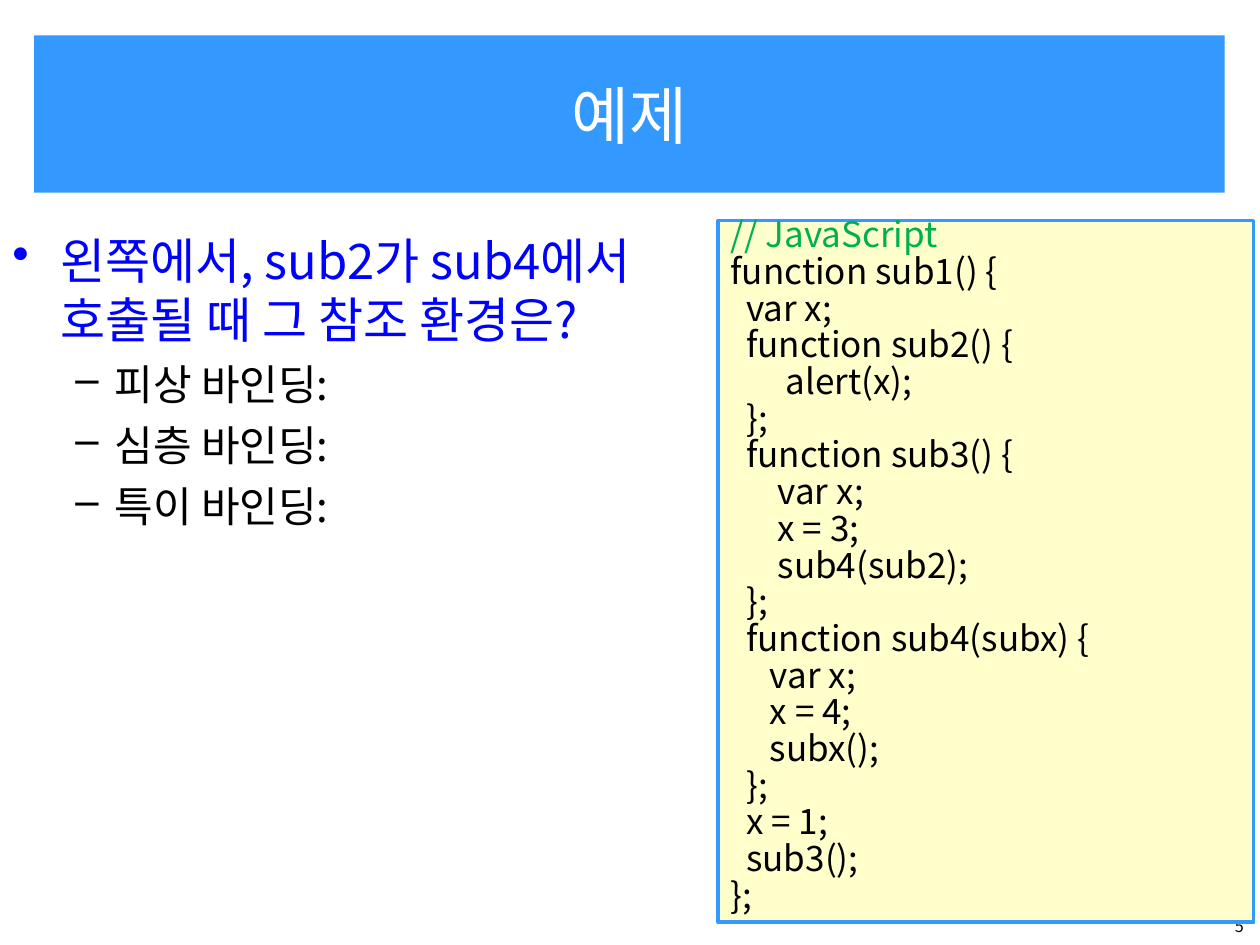
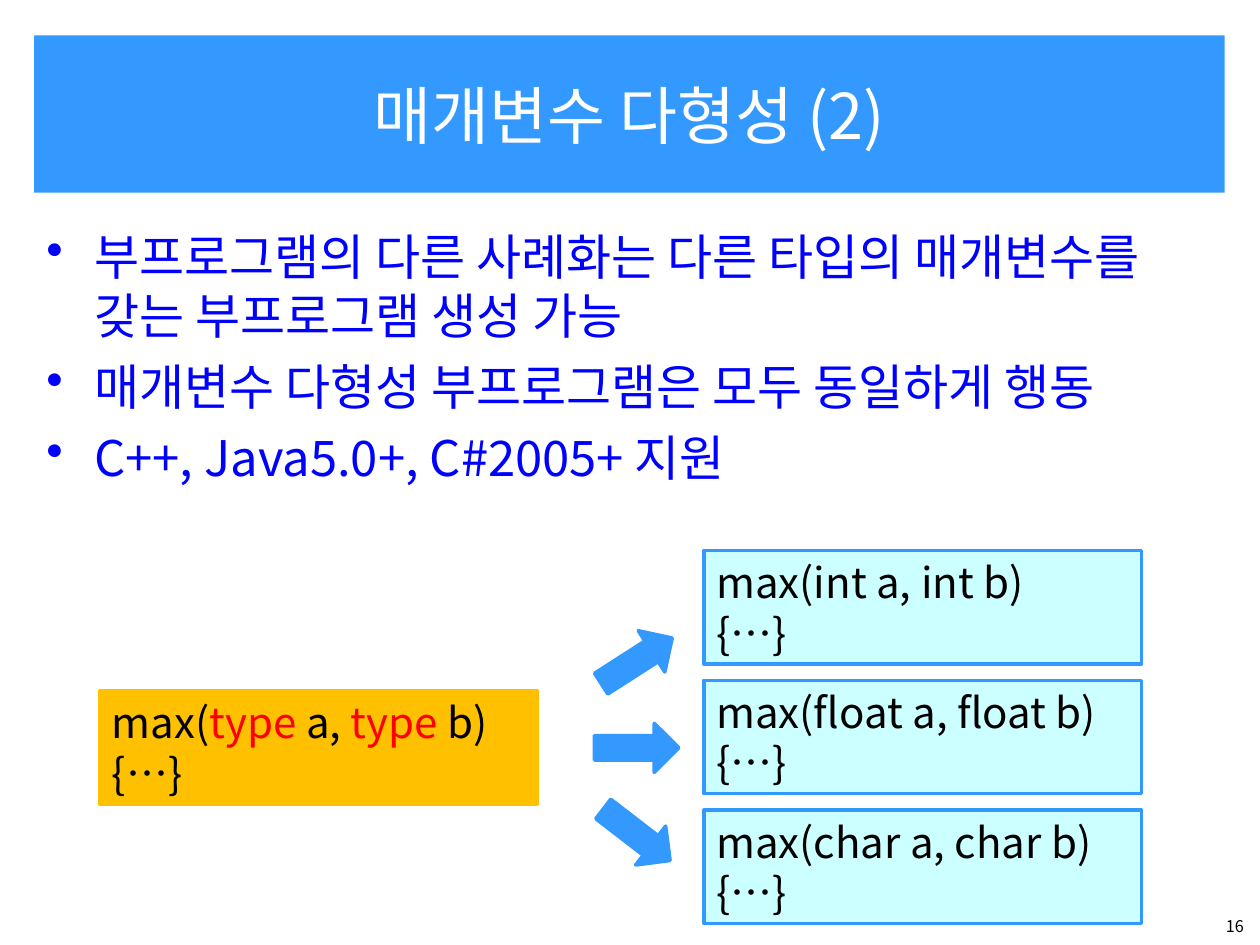
from lxml.etree import SubElement
from pptx import Presentation
from pptx.dml.color import RGBColor
from pptx.enum.shapes import MSO_SHAPE as SHAPE
from pptx.enum.text import MSO_ANCHOR as ANCHOR, MSO_AUTO_SIZE as FIT, PP_ALIGN as ALIGN
from pptx.oxml.ns import qn
from pptx.util import Inches, Pt

W, H = 10, 7.5
COLS, ROWS = 100, 75
FONT = "Noto Sans CJK KR"
C = {
    "blue": "3399FF", "ink": "000000", "white": "FFFFFF", "bullet": "0000FF",
    "code": "FFFFCC", "comment": "00B050", "card": "CCFFFF", "amber": "FFC000",
    "red": "FF0000",
}
FMT = {
    "title": {"size": 36, "color": "white", "para": {"alignment": ALIGN.CENTER}},
    "number": {"size": 9.2, "color": "ink", "para": {"alignment": ALIGN.RIGHT}},
    "code": {"size": 20, "color": "ink",
             "para": {"line_spacing": Pt(16), "space_before": Pt(5)}},
    "card": {"size": 24, "color": "ink", "para": {}},
    "point": {"size": 28, "color": "bullet", "bullet": ("•", 0.38, 0.38),
              "para": {"space_before": Pt(7)}},
    "sub": {"size": 24, "color": "ink", "bullet": ("–", 0.81, 0.31),
            "para": {"level": 1, "space_before": Pt(6)}},
}
TITLE_BOX = (2.7, 2.8, 94.5, 12.5)
NUMBER_BOX = (93, 72.2, 6.7, 2.8)
CODE = """// JavaScript
function sub1() {
  var x;
  function sub2() {
       alert(x);
  };
  function sub3() {
      var x;
      x = 3;
      sub4(sub2);
  };
  function sub4(subx) {
     var x;
     x = 4;
     subx();
  };
  x = 1;
  sub3();
};"""


def rgb(name):
    """Return the named colour."""
    return RGBColor.from_string(C[name])


def place(box):
    """Turn a box of grid columns and rows into slide lengths."""
    x, y, w, h = box
    cw, rh = W / COLS, H / ROWS
    return Inches(x * cw), Inches(y * rh), Inches(w * cw), Inches(h * rh)


def add_bullet(p, char, left, hang, color):
    """Give a paragraph a coloured bullet with a hanging indent."""
    pPr = p._p.get_or_add_pPr()
    pPr.set("marL", str(Inches(left)))
    pPr.set("indent", str(-Inches(hang)))
    clr = SubElement(pPr, qn("a:buClr"))
    SubElement(clr, qn("a:srgbClr"), val=C[color])
    SubElement(pPr, qn("a:buChar"), char=char)


def add_run(p, text, size, color):
    """Add a run in the deck font."""
    r = p.add_run()
    r.text = text
    for key, value in {"name": FONT, "size": Pt(size)}.items():
        setattr(r.font, key, value)
    r.font.color.rgb = rgb(color)
    SubElement(r._r.get_or_add_rPr(), qn("a:ea"), typeface=FONT)


def write(sp, paras, **frame):
    """Fill a shape with (style, runs) paragraphs; a run is (text, colour)."""
    tf = sp.text_frame
    for key, value in {"word_wrap": True, "vertical_anchor": ANCHOR.TOP, **frame}.items():
        setattr(tf, key, value)
    for i, (style, runs) in enumerate(paras):
        p = tf.paragraphs[0] if i == 0 else tf.add_paragraph()
        fmt = FMT[style]
        for key, value in {"alignment": ALIGN.LEFT, **fmt["para"]}.items():
            if i or key != "space_before":
                setattr(p, key, value)
        if "bullet" in fmt:
            add_bullet(p, *fmt["bullet"], fmt["color"])
        for text, color in runs:
            add_run(p, text, fmt["size"], color or fmt["color"])


def plain(style, *lines):
    """Make single-colour paragraphs of one style."""
    return [(style, [(line, None)]) for line in lines]


def add_block(s, box, fill, line=None, kind=SHAPE.RECTANGLE):
    """Draw a flat filled shape, outlined if a line colour is given."""
    sp = s.shapes.add_shape(kind, *place(box))
    sp.shadow.inherit = False
    sp.fill.solid()
    sp.fill.fore_color.rgb = rgb(fill)
    if line:
        sp.line.color.rgb = rgb(line)
        sp.line.width = Pt(2)
    else:
        sp.line.fill.background()
    return sp


def add_text(s, box, paras):
    """Add a wrapped text box."""
    write(s.shapes.add_textbox(*place(box)), paras)


def add_base(prs, title, number):
    """Start a slide with its title band and slide number."""
    s = prs.slides.add_slide(prs.slide_layouts[6])
    write(add_block(s, TITLE_BOX, "blue"), plain("title", title),
          vertical_anchor=ANCHOR.MIDDLE)
    add_text(s, NUMBER_BOX, plain("number", str(number)))
    return s


def add_code(s, box, code):
    """Show a listing whose first line is a comment."""
    head, *rest = code.split("\n")
    paras = [("code", [(head, "comment")])] + plain("code", *rest)
    write(add_block(s, box, "code", "blue"), paras, auto_size=FIT.SHAPE_TO_FIT_TEXT)


def add_card(s, box, fill, line, paras):
    """Draw a box holding one function signature."""
    write(add_block(s, box, fill, line), paras, auto_size=FIT.SHAPE_TO_FIT_TEXT)


def add_instances(s, box, generic, types):
    """Fan a generic function out to its typed instances."""
    x, y, w, h = box
    cw, ch = 0.42 * w, 9
    pitch = (h - ch) / (len(types) - 1)
    for i, t in enumerate(types):
        add_card(s, (x + w - cw, y + i * pitch, cw, ch), "card", "blue",
                 plain("card", f"max({t} a, {t} b)", "{…}"))
    for i, angle in enumerate((-32.7, 0, 37.6)):
        arrow = add_block(s, (x + 0.475 * w, y + 6.8 + i * 6.9, 6.7, 3.9),
                          "blue", "blue", SHAPE.RIGHT_ARROW)
        arrow.rotation = angle
    add_card(s, (x, y + 11.1, cw, ch), "amber", "amber", generic)


def add_example(prs):
    """Build the slide with questions beside a listing."""
    s = add_base(prs, "예제", 5)
    add_text(s, (0, 17.8, 55, 55.4),
             plain("point", "왼쪽에서, sub2가 sub4에서 호출될 때 그 참조 환경은?")
             + plain("sub", "피상 바인딩:", "심층 바인딩:", "특이 바인딩:"))
    add_code(s, (57, 17.5, 42.5, 55.7), CODE)


def add_polymorphism(prs):
    """Build the slide with points above the instance diagram."""
    s = add_base(prs, "매개변수 다형성 (2)", 16)
    add_text(s, (2.7, 17.5, 94.5, 55.4), plain(
        "point",
        "부프로그램의 다른 사례화는 다른 타입의 매개변수를 갖는 부프로그램 생성 가능",
        "매개변수 다형성 부프로그램은 모두 동일하게 행동",
        "C++, Java5.0+, C#2005+ 지원"))
    signature = [("max(", None), ("type ", "red"), ("a, ", None),
                 ("type", "red"), (" b)", None)]
    add_instances(s, (7.9, 43.7, 82.7, 29.6),
                  [("card", signature)] + plain("card", "{…}"),
                  ("int", "float", "char"))


def main():
    """Build and save the deck."""
    prs = Presentation()
    prs.slide_width, prs.slide_height = Inches(W), Inches(H)
    add_example(prs)
    add_polymorphism(prs)
    prs.save("out.pptx")


if __name__ == "__main__":
    main()
